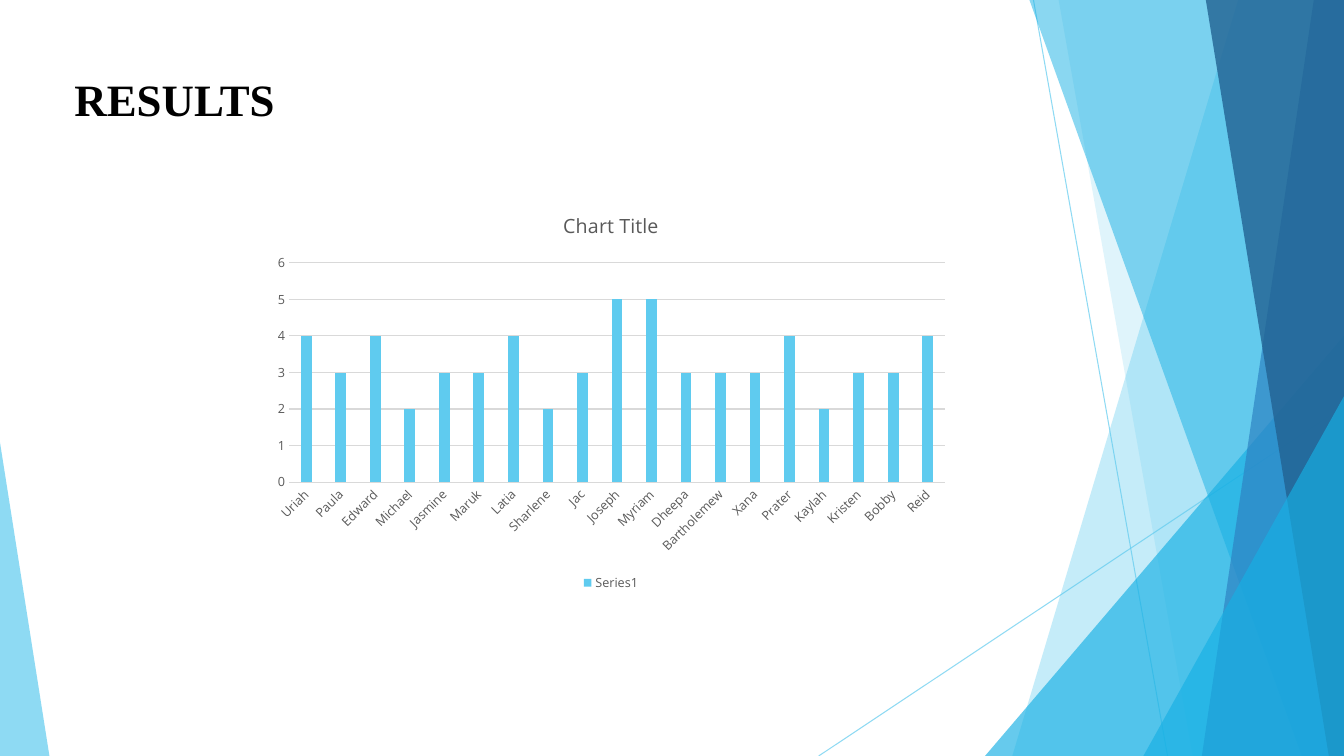
from lxml.etree import SubElement
from pptx import Presentation
from pptx.chart.data import CategoryChartData
from pptx.dml.color import RGBColor
from pptx.enum.chart import XL_CHART_TYPE, XL_LEGEND_POSITION, XL_TICK_MARK
from pptx.enum.shapes import MSO_CONNECTOR, MSO_SHAPE
from pptx.enum.text import MSO_ANCHOR
from pptx.oxml.ns import qn
from pptx.util import Inches, Pt

WIDTH, HEIGHT = 13.33, 7.5
SKY, CYAN, BLUE, NAVY = "5FCBEF", "17B0E4", "2E83C3", "226292"
GREY, RULE, BLACK = "595959", "D9D9D9", "000000"
BODY_FONT, HEADING_FONT = "Open Sans", "Times New Roman"

HEADING = "RESULTS"
CHART_TITLE = "Chart Title"
SERIES = "Series1"
SCORES = {
    "Uriah": 4, "Paula": 3, "Edward": 4, "Michael": 2, "Jasmine": 3,
    "Maruk": 3, "Latia": 4, "Sharlene": 2, "Jac": 3, "Joseph": 5,
    "Myriam": 5, "Dheepa": 3, "Bartholemew": 3, "Xana": 3, "Prater": 4,
    "Kaylah": 2, "Kristen": 3, "Bobby": 3, "Reid": 4,
}
RAYS = [(10.25, 0, 11.58, HEIGHT), (WIDTH, 4.03, 8.12, HEIGHT)]
# Bands: top-left x, bottom-left x, colour, opacity; wedges: left, top, width, apex, colour, opacity
FACETS = [
    ("band", (12.28, 10.04), SKY, 36),
    ("band", (10.5, 11.83), SKY, 20),
    ("wedge", (9.77, 3.33, 3.56, 1), CYAN, 66),
    ("band", (10.21, 12.91), CYAN, 50),
    ("band", (13.03, 11.92), BLUE, 70),
    ("band", (11.96, 13.18), NAVY, 80),
    ("wedge", (11.34, 3.93, 1.99, 1), CYAN, 66),
    ("wedge", (0, 4.39, 0.49, 0), SKY, 70),
]


def paint(color_format, color, opacity=100):
    color_format.rgb = RGBColor.from_string(color)
    if opacity < 100:
        target = color_format._xFill.find(qn("a:srgbClr"))
        SubElement(target, qn("a:alpha")).set("val", str(opacity * 1000))


def style(font, size, color, face=BODY_FONT, bold=False):
    font.size, font.name, font.bold = Pt(size), face, bold
    paint(font.color, color)


def rule(line, color, opacity=100):
    line.width = Pt(0.75)
    line.fill.solid()
    paint(line.fill.fore_color, color, opacity)


def add_ray(slide, ends):
    ray = slide.shapes.add_connector(MSO_CONNECTOR.STRAIGHT, *map(Inches, ends))
    rule(ray.line, SKY)
    target = ray._element.spPr.find(".//" + qn("a:srgbClr"))
    SubElement(target, qn("a:alpha")).set("val", "70000")
    SubElement(ray._element.spPr, qn("a:effectLst"))


def add_facet(slide, kind, place, color, opacity):
    if kind == "band":
        top_x, bottom_x = place
        outline = slide.shapes.build_freeform(Inches(top_x), 0)
        corners = [(WIDTH, 0), (WIDTH, HEIGHT), (bottom_x, HEIGHT)]
        outline.add_line_segments([(Inches(x), Inches(y)) for x, y in corners])
        facet = outline.convert_to_shape()
    else:
        left, top, width, apex = place
        facet = slide.shapes.add_shape(
            MSO_SHAPE.ISOSCELES_TRIANGLE,
            *map(Inches, (left, top, width, HEIGHT - top)))
        facet.adjustments[0] = apex
    facet.shadow.inherit = False
    facet.line.fill.background()
    facet.fill.solid()
    paint(facet.fill.fore_color, color)
    target = facet._element.spPr.find(".//" + qn("a:srgbClr"))
    SubElement(target, qn("a:alpha")).set("val", str(opacity * 1000))


def add_heading(slide):
    heading = slide.shapes.add_textbox(*map(Inches, (0.64, 0.65, 7.59, 0.64)))
    frame = heading.text_frame
    frame.word_wrap = True
    frame.vertical_anchor = MSO_ANCHOR.BOTTOM
    run = frame.paragraphs[0].add_run()
    run.text = HEADING
    style(run.font, 32, BLACK, HEADING_FONT, True)


def add_scores(slide):
    data = CategoryChartData()
    data.categories = list(SCORES)
    data.add_series(SERIES, list(SCORES.values()))
    chart = slide.shapes.add_chart(
        XL_CHART_TYPE.COLUMN_CLUSTERED,
        *map(Inches, (2.61, 1.92, 6.9, 3.99)), data).chart
    style(chart.font, 10, BLACK)

    chart.has_title = True
    title = chart.chart_title.text_frame.paragraphs[0].add_run()
    title.text = CHART_TITLE
    style(title.font, 14, GREY)
    chart.chart_title.include_in_layout = False

    chart.has_legend = True
    chart.legend.position = XL_LEGEND_POSITION.BOTTOM
    chart.legend.include_in_layout = False
    style(chart.legend.font, 9, GREY)

    names, values = chart.category_axis, chart.value_axis
    for axis in (names, values):
        axis.major_tick_mark = axis.minor_tick_mark = XL_TICK_MARK.NONE
        style(axis.tick_labels.font, 9, GREY)
    rule(names.format.line, RULE)
    names._element.find(qn("c:txPr")).find(qn("a:bodyPr")).set("rot", "-2700000")
    values.format.line.fill.background()
    values.minimum_scale, values.maximum_scale, values.major_unit = 0, 6, 1
    rule(values.major_gridlines.format.line, RULE)

    columns = chart.plots[0]
    columns.gap_width, columns.overlap = 219, -27
    columns.vary_by_categories = False
    bars = columns.series[0].format.fill
    bars.solid()
    paint(bars.fore_color, SKY)


def main():
    """Build the results slide: faceted backdrop, heading and score chart."""
    deck = Presentation()
    deck.slide_width, deck.slide_height = Inches(WIDTH), Inches(HEIGHT)
    slide = deck.slides.add_slide(deck.slide_layouts[6])
    for ends in RAYS:
        add_ray(slide, ends)
    for facet in FACETS:
        add_facet(slide, *facet)
    add_heading(slide)
    add_scores(slide)
    deck.save("out.pptx")


if __name__ == "__main__":
    main()
